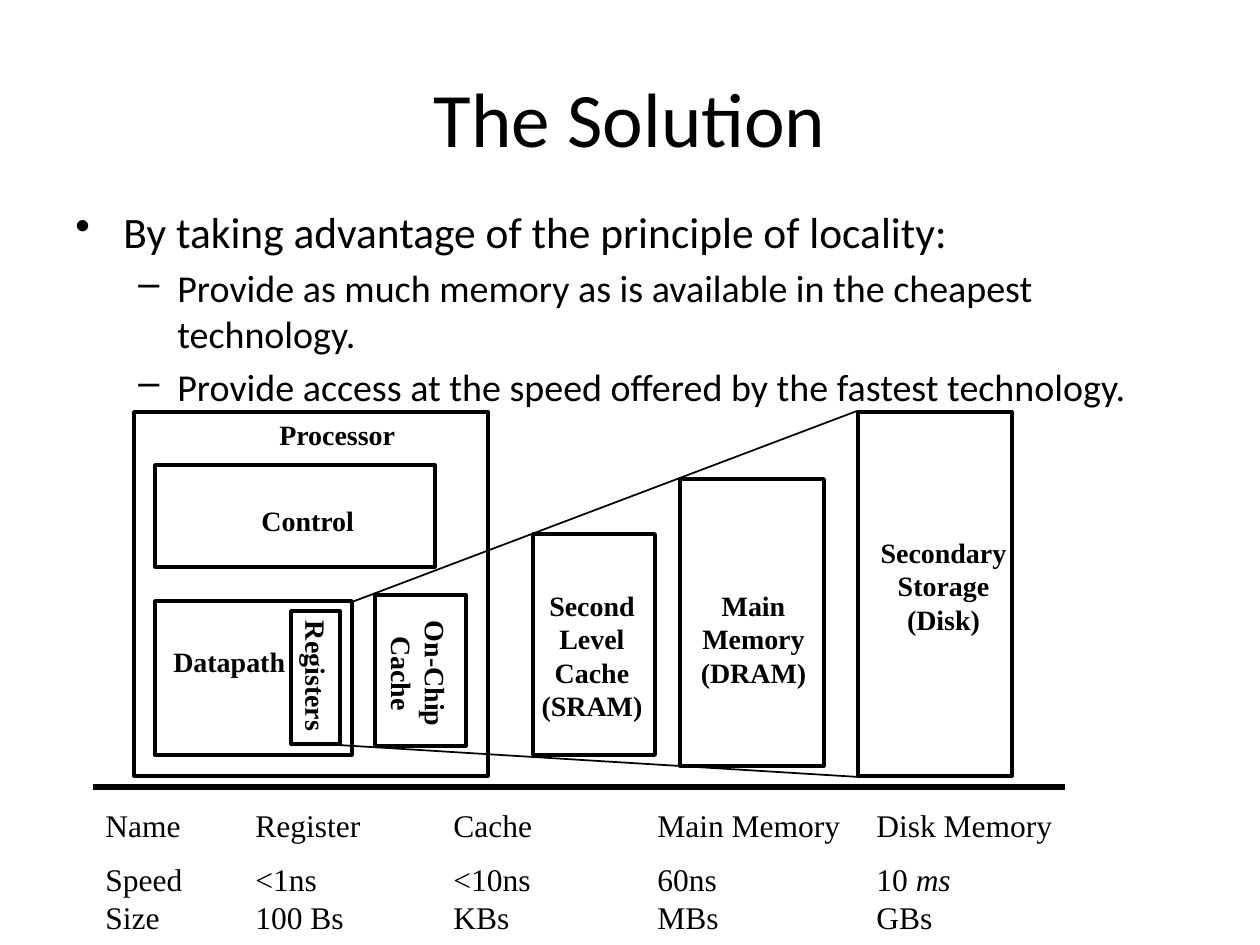
from lxml import etree
from pptx import Presentation
from pptx import util as u
from pptx.dml.color import RGBColor
from pptx.enum import shapes, text
from pptx.oxml.ns import qn

BLACK = RGBColor(0, 0, 0)
SERIF = "Times New Roman"
SCALE = 914400 / 126


def px(*nums):
    return [u.Emu(round(n * SCALE)) for n in nums]


def write(box, lines, font, size, bold=False, align=text.PP_ALIGN.LEFT, wrap=True):
    frame = slide.shapes.add_textbox(*px(*box)).text_frame
    frame.word_wrap = wrap
    frame.text = "\n".join(lines)
    for para in frame.paragraphs:
        para.alignment = align
        para.font.name = font
        para.font.size = u.Pt(size)
        para.font.bold = bold
        para.font.color.rgb = BLACK
    return frame


deck = Presentation()
deck.slide_width, deck.slide_height = px(1260, 945)
slide = deck.slides.add_slide(deck.slide_layouts[6])

title = write((63, 38, 1134, 158), ["The Solution"], "Calibri", 44,
              align=text.PP_ALIGN.CENTER)
title.vertical_anchor = text.MSO_ANCHOR.MIDDLE

points = [
    (0, "•", 48, 48, 24.8, "By taking advantage of the principle of locality:"),
    (1, "–", 102, 39, 21.7,
     "Provide as much memory as is available in the cheapest technology."),
    (1, "–", 102, 39, 21.7,
     "Provide access at the speed offered by the fastest technology."),
]
body = write((63, 199, 1134, 189), [point[-1] for point in points], "Calibri", 21.7)
for para, (level, mark, left, hang, size, words) in zip(body.paragraphs, points):
    para.level = level
    para.font.size = u.Pt(size)
    para.space_before = u.Pt(4.3 if level else 0)
    props = para._p.get_or_add_pPr()
    margin, indent = px(left, -hang)
    props.set("marL", str(margin))
    props.set("indent", str(indent))
    bullet = etree.Element(qn("a:buChar"), char=mark)
    props.insert_element_before(bullet, "a:tabLst", "a:defRPr", "a:extLst")

frames = [
    (134, 412, 354, 364),
    (155, 465, 280, 102),
    (155, 601, 197, 154),
    (291, 611, 49, 133),
    (375, 595, 91, 151),
    (533, 534, 122, 221),
    (680, 479, 144, 287),
    (858, 412, 154, 364),
]
for frame in frames:
    rect = slide.shapes.add_shape(shapes.MSO_SHAPE.RECTANGLE, *px(*frame))
    rect.shadow.inherit = False
    rect.fill.background()
    rect.line.color.rgb = BLACK
    rect.line.width = u.Pt(2)

labels = [
    ((267, 411, 141, 45), 0, ["Processor"]),
    ((249, 497, 118, 45), 0, ["Control"]),
    ((161, 638, 137, 45), 0, ["Datapath"]),
    ((249, 654, 136, 45), 90, ["Registers"]),
    ((354, 634, 131, 79), 90, ["On-Chip", "Cache"]),
    ((529, 582, 126, 147), 0, ["Second", "Level", "Cache", "(SRAM)"]),
    ((688, 582, 131, 113), 0, ["Main", "Memory", "(DRAM)"]),
    ((868, 529, 151, 113), 0, ["Secondary", "Storage", "(Disk)"]),
]
for box, turn, lines in labels:
    align = text.PP_ALIGN.CENTER if len(lines) > 1 else text.PP_ALIGN.LEFT
    write(box, lines, SERIF, 16, True, align, False)
    slide.shapes[-1].rotation = turn

rules = [
    (352, 602, 857, 411, 1),
    (338, 745, 859, 777, 1),
    (93, 787, 1065, 787, 3),
]
for *ends, width in rules:
    rule = slide.shapes.add_connector(shapes.MSO_CONNECTOR.STRAIGHT, *px(*ends))
    rule.line.color.rgb = BLACK
    rule.line.width = u.Pt(width)
    etree.SubElement(rule._element.spPr, qn("a:effectLst"))

rows = [
    "Name\tRegister\tCache\tMain Memory\tDisk Memory",
    "Speed\t<1ns\t<10ns\t60ns\t10 ",
]
facts = write((93, 800, 1089, 145), rows, SERIF, 18)
for para in facts.paragraphs:
    props = para._p.get_or_add_pPr()
    tabs = etree.Element(qn("a:tabLst"))
    for stop in px(150, 348, 552, 771):
        etree.SubElement(tabs, qn("a:tab"), pos=str(stop), algn="l")
    props.insert_element_before(tabs, "a:defRPr", "a:extLst")
last = facts.paragraphs[1]
last.space_before = u.Pt(9)
unit = last.add_run()
unit.text = "ms"
unit.font.italic = True
last.add_line_break()
last.add_run().text = "Size\t100 Bs\tKBs\tMBs\tGBs"

deck.save("out.pptx")
